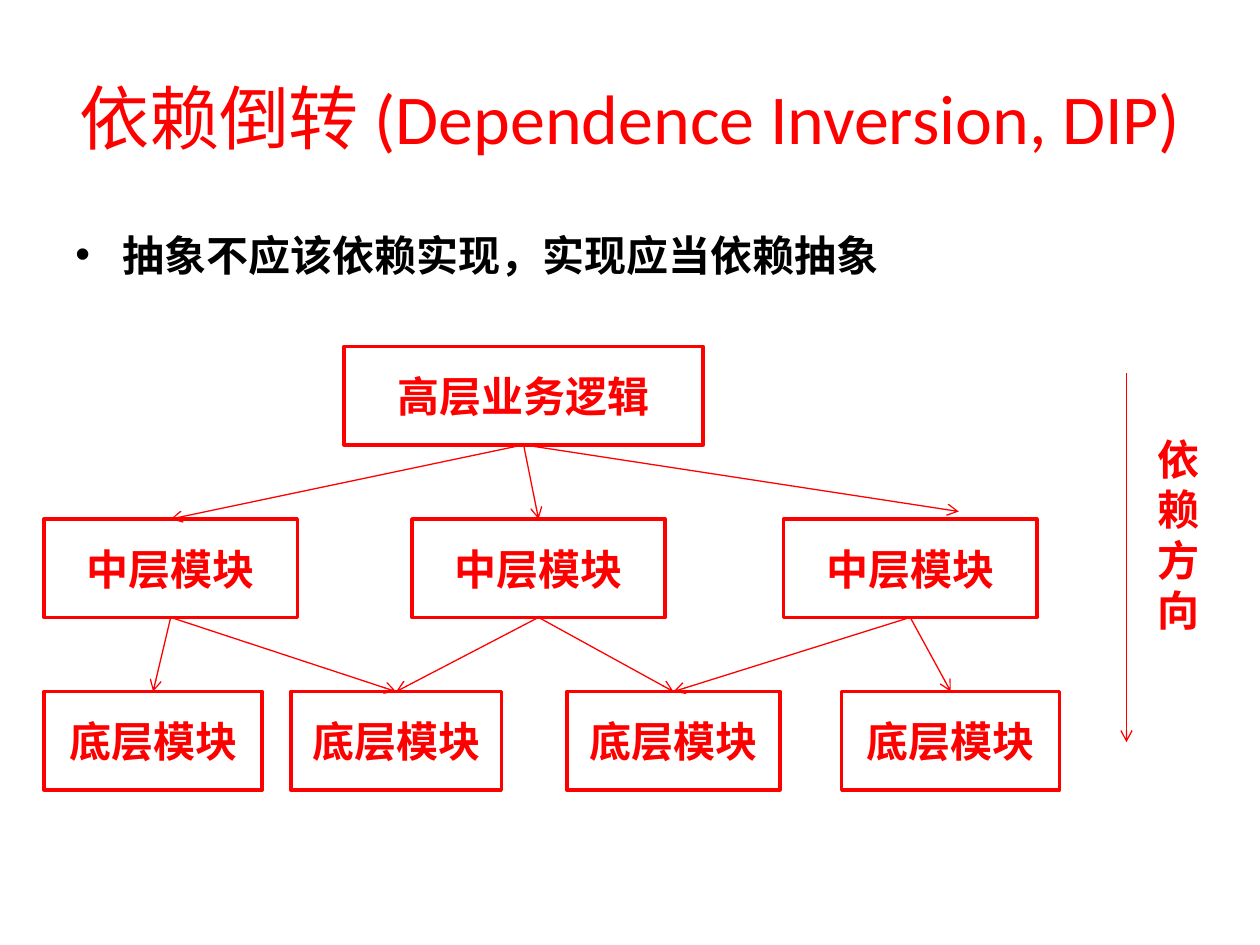
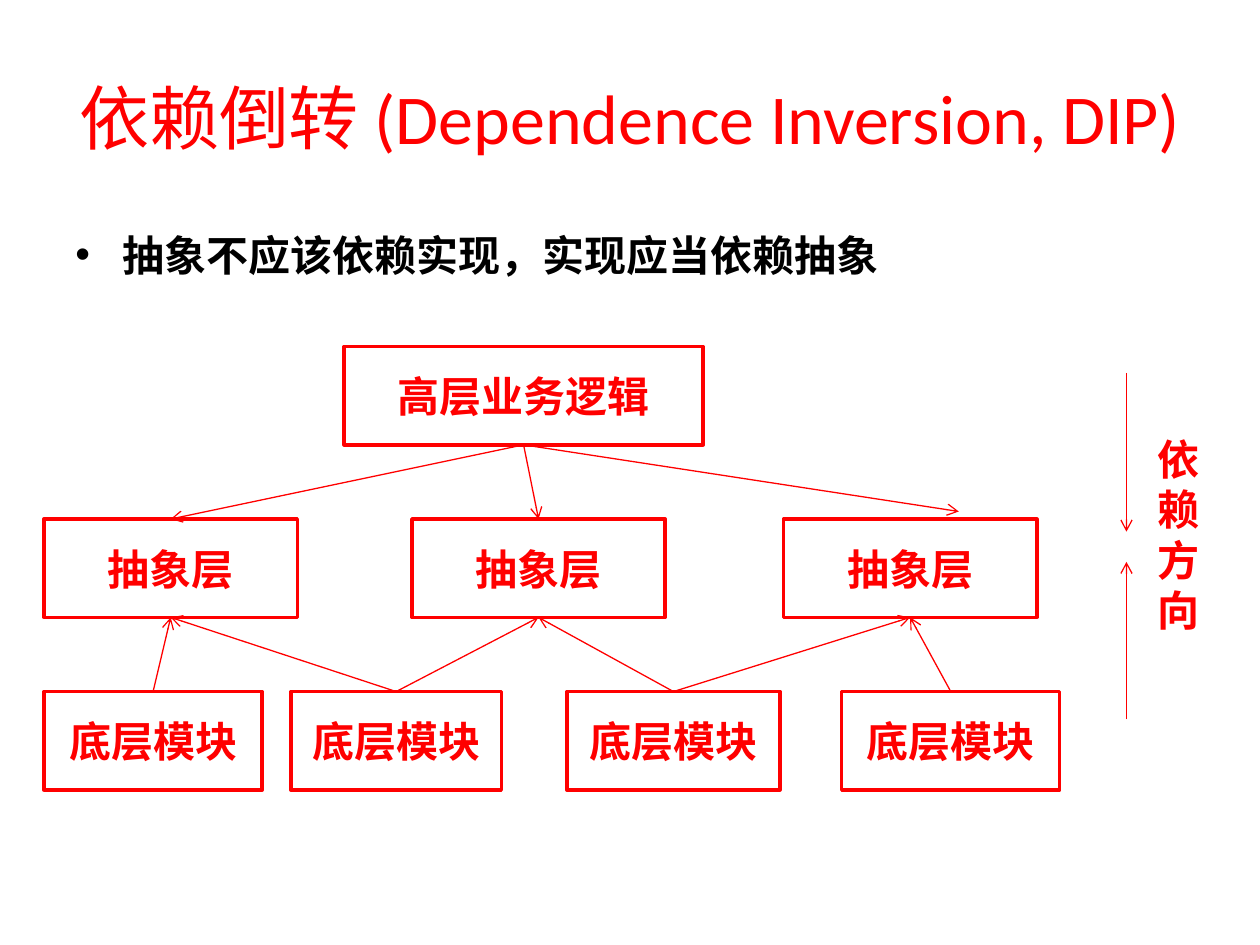
from pptx import Presentation
from pptx.dml.color import RGBColor as RGB
from pptx.enum.shapes import MSO_CONNECTOR as CONN, MSO_SHAPE as SHAPE
from pptx.enum.text import MSO_ANCHOR as ANCHOR, PP_ALIGN as ALIGN
from pptx.oxml.ns import qn
from pptx.util import Pt
from lxml.etree import SubElement as Sub

RED = RGB(255, 0, 0)
BLACK = RGB(0, 0, 0)
WHITE = RGB(255, 255, 255)
LATIN, HAN = "Calibri", "Noto Sans CJK SC"

TITLE = "依赖倒转 (Dependence Inversion, DIP)"
CLAIM = "抽象不应该依赖实现，实现应当依赖抽象"

# Text formats
HEAD = {"size": Pt(40), "name": LATIN, "bold": False}
BODY = {"size": Pt(24), "name": LATIN, "bold": True}
LABEL = {"size": Pt(24), "name": HAN, "bold": True}

# Diagram rows: (left, width) of each box, relative to the diagram
TIERS = [
    [(171.4, 205.2)],
    [(0, 144.7), (210.2, 144.7), (422.6, 144.7)],
    [(0, 124.6), (141.1, 120.2), (298.8, 121.7), (455.8, 124.6)],
]
PITCH, TALL = 98.6, 56.2
LINKS = [(0, 0), (0, 1), (1, 1), (1, 2), (2, 2), (2, 3)]  # middle, low

# Regions: left, top, width, height
HEADBOX = (0, 21.6, 720, 90)
BODYBOX = (36, 127.5, 648, 355)
CHART = (25.2, 198)
SIDE = (643.7, 213.1)


def write(par, text, style, color, align=None):
    run = par.add_run()
    run.text = text
    for key, value in style.items():
        setattr(run.font, key, value)
    run.font.color.rgb = color
    Sub(run.font._element, qn("a:ea"), typeface=HAN)
    par.alignment = align


def add_text(slide, box, wrap=True, anchor=ANCHOR.TOP):
    frame = slide.shapes.add_textbox(*map(Pt, box)).text_frame
    frame.word_wrap = wrap
    frame.vertical_anchor = anchor
    return frame


def add_arrow(slide, start, end):
    line = slide.shapes.add_connector(CONN.STRAIGHT, *map(Pt, start + end))
    line.line.color.rgb = RED
    line.line.width = Pt(0.75)
    Sub(line.line._get_or_add_ln(), qn("a:tailEnd"), type="arrow")
    Sub(line._element.spPr, qn("a:effectLst"))


def add_box(slide, box, text):
    shape = slide.shapes.add_shape(SHAPE.RECTANGLE, *map(Pt, box))
    shape.shadow.inherit = False
    shape.fill.solid()
    shape.fill.fore_color.rgb = WHITE
    shape.line.color.rgb = RED
    shape.line.width = Pt(2)
    frame = shape.text_frame
    frame.vertical_anchor = ANCHOR.MIDDLE
    write(frame.paragraphs[0], text, LABEL, RED, ALIGN.CENTER)


def add_head(slide, box):
    frame = add_text(slide, box, anchor=ANCHOR.MIDDLE)
    write(frame.paragraphs[0], TITLE, HEAD, RED, ALIGN.CENTER)


def add_claim(slide, box):
    par = add_text(slide, box).paragraphs[0]
    par.line_spacing = Pt(28.8)
    write(par, CLAIM, BODY, BLACK)
    # Hanging bullet
    props = par._p.get_or_add_pPr()
    props.set("marL", str(Pt(27)))
    props.set("indent", str(Pt(-27)))
    Sub(props, qn("a:buFont"), typeface="Arial")
    Sub(props, qn("a:buChar"), char="•")


def add_tree(slide, origin, names, upward):
    left, top = origin

    def port(tier, index, low):
        x, wide = TIERS[tier][index]
        return left + x + wide / 2, top + tier * PITCH + low * TALL

    # Boxes
    for tier, (row, name) in enumerate(zip(TIERS, names)):
        for x, wide in row:
            add_box(slide, (left + x, top + tier * PITCH, wide, TALL), name)

    # Arrows from the top box
    root = port(0, 0, True)
    ends = [port(1, 0, False), port(1, 1, False), (left + 522.7, top + 94.3)]
    for end in ends:
        add_arrow(slide, root, end)

    # Arrows between the middle and low rows
    for mid, low in LINKS:
        pair = [port(1, mid, True), port(2, low, False)]
        add_arrow(slide, *(pair[::-1] if upward else pair))


def add_side(slide, origin, spans):
    left, top = origin
    for start, end in spans:
        add_arrow(slide, (left, top + start), (left, top + end))
    frame = add_text(slide, (left + 10.8, top + 31, 38.2, 122.4), wrap=False)
    for index, sign in enumerate("依赖方向"):
        par = frame.add_paragraph() if index else frame.paragraphs[0]
        par.line_spacing = Pt(28.8)
        write(par, sign, LABEL, RED, ALIGN.CENTER)


def add_page(deck, middle, upward, spans):
    slide = deck.slides.add_slide(deck.slide_layouts[6])
    add_head(slide, HEADBOX)
    add_claim(slide, BODYBOX)
    add_tree(slide, CHART, ["高层业务逻辑", middle, "底层模块"], upward)
    add_side(slide, SIDE, spans)


def main():
    deck = Presentation()
    deck.slide_width, deck.slide_height = Pt(720), Pt(540)
    add_page(deck, "中层模块", False, [(0, 211)])
    add_page(deck, "抽象层", True, [(0, 90.7), (198, 108)])
    deck.save("out.pptx")


if __name__ == "__main__":
    main()
